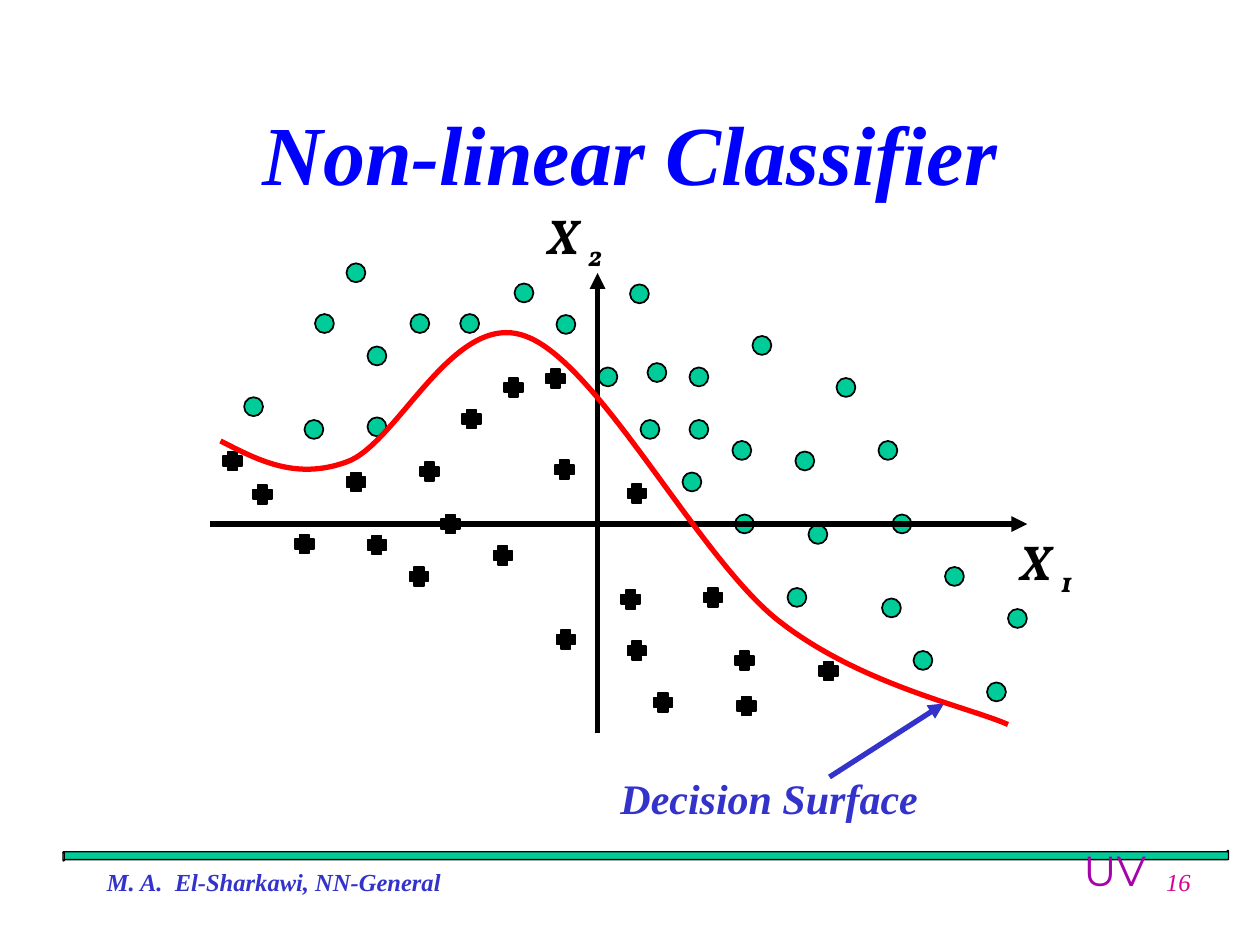
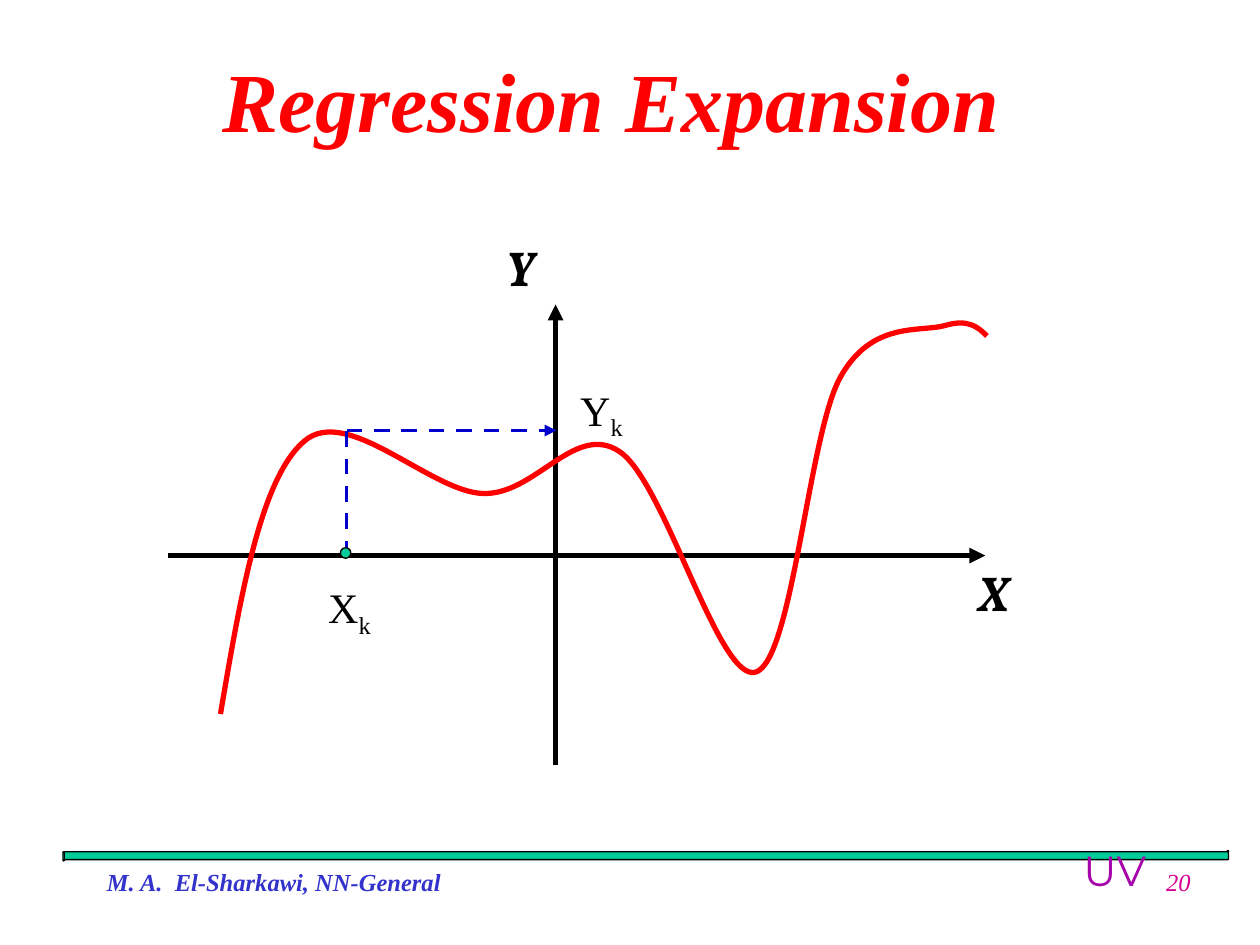
import dataclasses

import lxml.etree
import pptx
import pptx.dml.color
import pptx.enum.dml
import pptx.enum.shapes
import pptx.enum.text
import pptx.oxml.ns
import pptx.util

Pt = pptx.util.Pt
qn = pptx.oxml.ns.qn
SHAPES = pptx.enum.shapes.MSO_SHAPE
ALIGN = pptx.enum.text.PP_ALIGN
ANCHOR = pptx.enum.text.MSO_ANCHOR
AUTO_SIZE = pptx.enum.text.MSO_AUTO_SIZE
DASH = pptx.enum.dml.MSO_LINE.DASH


@dataclasses.dataclass(frozen=True)
class Theme:
    black: str = "000000"
    green: str = "00CC99"
    red: str = "FF0000"
    blue: str = "0000FF"
    guide: str = "0000CC"
    indigo: str = "3333CC"
    purple: str = "A603AB"
    magenta: str = "D60093"
    serif: str = "Times New Roman"
    axis_face: str = "Vollkorn"
    mark_face: str = "Montserrat"
    title: int = 48
    axis: int = 28
    label: int = 24
    footer: int = 14
    heavy: float = 3
    dashed: float = 2.25
    outline: float = 1
    thin: float = 0.75


THEME = Theme()
AUTHOR = "M. A.  El-Sharkawi, NN-General"
FOOTER_BOX = (36, 486, 666, 42)
PLOT_SIZE = (467, 263)
MARKER = 10.8

CIRCLES = [
    (90, 82.5), (90, 42), (198, 24), (60, 23.5), (174, 6), (274, 84),
    (298.5, 96), (274, 54), (246, 84), (143, 23.5), (270, 114), (334.5, 102),
    (300, 138), (330, 180), (342, 144), (382, 96), (390, 138), (402, 216),
    (420, 168), (384, 186), (456, 192), (444, 234), (310, 36), (358, 60),
    (114.5, 23.5), (250, 51.5), (78, -5.5), (240, 6.5), (54, 84), (222, 54),
    (19.5, 71),
]
PLUSES = [
    (235, 181), (132, 138), (144, 78), (238.5, 120.5), (197, 107), (253.5, 240),
    (348, 222), (192, 55), (120, 108), (168, 60), (78, 114), (90, 150),
    (24.5, 121), (114, 168), (300, 216), (48.5, 149.5), (198, 204),
    (238.5, 210.5), (282, 180), (301, 242), (162, 156), (7.5, 102),
]
DECISION_CURVE = [
    (6, 96), (27.5, 107), (49, 118.5), (78, 108), (107, 98), (139, 21),
    (180, 36), (221.5, 50.5), (278, 161), (324, 198), (370.5, 235),
    (433.5, 248), (456, 258),
]
REGRESSION_CURVE = [
    (30, 234), (41.5, 166.5), (53, 99), (78, 78), (102.5, 57), (150, 107),
    (180, 108), (210, 109), (232.5, 67), (258, 84), (284, 101), (315, 217),
    (336, 210), (357, 203), (366, 75), (384, 42), (402, 9), (430, 16),
    (444, 12), (457.5, 8), (463, 13), (468, 18),
]


def rgb(color):
    return pptx.dml.color.RGBColor.from_string(color)


def apply(target, values):
    for name, value in values.items():
        setattr(target, name, value)


def place(box, x, y, width, height):
    return box[0] + x, box[1] + y, width, height


def add_text(slide, box, text, face, size, color, sub="", indent=0,
             paragraph_format=None, frame_format=None, **font_format):
    frame = slide.shapes.add_textbox(*map(Pt, box)).text_frame
    apply(frame, {"word_wrap": True, **(frame_format or {})})
    paragraph = frame.paragraphs[0]
    apply(paragraph, paragraph_format or {})
    if indent:
        paragraph._p.get_or_add_pPr().set("marL", str(Pt(indent)))
    for part, baseline in ((text, None), (sub, "-25000")):
        if part:
            run = paragraph.add_run()
            run.text = part
            apply(run.font, {"name": face, "size": Pt(size), **font_format})
            run.font.color.rgb = rgb(color)
            if baseline:
                run._r.get_or_add_rPr().set("baseline", baseline)


def add_fitted(slide, box, *args, **formats):
    fitted = {"word_wrap": False, "auto_size": AUTO_SIZE.SHAPE_TO_FIT_TEXT}
    add_text(slide, box, *args, frame_format=fitted, **formats)


def add_filled(slide, kind, box, fill, line_width):
    shape = slide.shapes.add_shape(kind, *map(Pt, box))
    shape.shadow.inherit = False
    shape.fill.solid()
    shape.fill.fore_color.rgb = rgb(fill)
    shape.line.color.rgb = rgb(THEME.black)
    shape.line.width = Pt(line_width)


def add_line(slide, box, start, end, color, width, arrow=True, dash=None):
    ends = [Pt(base + offset) for point in (start, end)
            for base, offset in zip(box, point)]
    line = slide.shapes.add_connector(
        pptx.enum.shapes.MSO_CONNECTOR.STRAIGHT, *ends)
    line.line.color.rgb = rgb(color)
    apply(line.line, {"width": Pt(width), "dash_style": dash})
    if arrow:
        tip = lxml.etree.SubElement(line.line._get_or_add_ln(), qn("a:tailEnd"))
        tip.set("type", "triangle")
    lxml.etree.SubElement(line._element.spPr, qn("a:effectLst"))


def add_curve(slide, box, points):
    start, *controls = [(Pt(box[0] + x), Pt(box[1] + y)) for x, y in points]
    builder = slide.shapes.build_freeform(*start)
    builder.add_line_segments(controls, close=False)
    curve = builder.convert_to_shape()
    segments = list(curve._element.iter(qn("a:lnTo")))
    for first in range(0, len(segments), 3):
        bezier = lxml.etree.Element(qn("a:cubicBezTo"))
        segments[first].addprevious(bezier)
        for segment in segments[first:first + 3]:
            bezier.append(segment[0])
            segment.getparent().remove(segment)
    curve.shadow.inherit = False
    curve.fill.background()
    curve.line.color.rgb = rgb(THEME.red)
    curve.line.width = Pt(THEME.heavy)


def add_footer(slide, box, number):
    add_filled(slide, SHAPES.HORIZONTAL_SCROLL, place(box, 0, 0, box[2], 6),
               THEME.green, THEME.thin)
    add_text(slide, place(box, 566, -7, 70, 36), "UV", THEME.mark_face,
             THEME.label, THEME.purple,
             paragraph_format={"alignment": ALIGN.CENTER})
    add_text(slide, place(box, 18, 6, 420, 36), AUTHOR, THEME.serif,
             THEME.footer, THEME.indigo, bold=True, italic=True)
    add_text(slide, place(box, 480, 6, 171.5, 36), number, THEME.serif,
             THEME.footer, THEME.magenta, italic=True,
             paragraph_format={"alignment": ALIGN.RIGHT})


def add_axes(slide, box, horizontal, vertical):
    origin_x, origin_y = 221.5, 143.5
    width, height = box[2:]
    for start, end in (((0, origin_y), (width, origin_y)),
                       ((origin_x, height), (origin_x, 0))):
        add_line(slide, box, start, end, THEME.black, THEME.heavy)
    for (text, sub), x, y in ((horizontal, 419.5, 144), (vertical, 149.5, -42)):
        add_fitted(slide, place(box, x, y, 87 if sub else 70, 45 if sub else 40),
                   text, THEME.axis_face, THEME.axis, THEME.black, sub=sub,
                   indent=36, paragraph_format={"space_before": Pt(7)},
                   bold=True, italic=True)


def build_classifier(slide, box):
    add_text(slide, (54, 42, 612, 90), "Non-linear Classifier", THEME.serif,
             THEME.title, THEME.blue, bold=True, italic=True,
             paragraph_format={"alignment": ALIGN.CENTER},
             frame_format={"vertical_anchor": ANCHOR.MIDDLE})
    for kind, spots, fill in ((SHAPES.OVAL, CIRCLES, THEME.green),
                              (SHAPES.CROSS, PLUSES, THEME.black)):
        for x, y in spots:
            add_filled(slide, kind, place(box, x, y, MARKER, MARKER),
                       fill, THEME.outline)
    add_axes(slide, box, ("X ", "1"), ("X ", "2"))
    add_text(slide, place(box, 227.5, 282, 200, 36), "Decision Surface",
             THEME.serif, THEME.label, THEME.indigo, bold=True, italic=True)
    add_line(slide, box, (354, 288), (419.5, 246), THEME.indigo, THEME.heavy)
    add_curve(slide, box, DECISION_CURVE)


def build_regression(slide, box):
    add_axes(slide, box, ("X", ""), ("Y", ""))
    add_curve(slide, box, REGRESSION_CURVE)
    add_fitted(slide, (120, 24, 459, 65), "Regression Expansion", THEME.serif,
               THEME.title, THEME.red, bold=True, italic=True)
    sample, corner, value = (102, 144), (102, 72), (222, 72)
    for start, end, arrow in ((sample, corner, False), (corner, value, True)):
        add_line(slide, box, start, end, THEME.guide, THEME.dashed,
                 arrow=arrow, dash=DASH.DASH)
    for letter, x, y in (("X", 84.5, 155), ("Y", 228.5, 42)):
        add_fitted(slide, place(box, x, y, 39, 40), letter, THEME.serif,
                   THEME.label, THEME.black, sub="k")
    add_filled(slide, SHAPES.OVAL, place(box, 98.5, 139, 6, 6),
               THEME.green, THEME.thin)


def main():
    deck = pptx.Presentation()
    apply(deck, {"slide_width": Pt(720), "slide_height": Pt(540)})
    for build, corner, number in ((build_classifier, (120, 156), "16"),
                                  (build_regression, (96, 174), "20")):
        slide = deck.slides.add_slide(deck.slide_layouts[6])
        add_footer(slide, FOOTER_BOX, number)
        build(slide, corner + PLOT_SIZE)
    deck.save("out.pptx")


if __name__ == "__main__":
    main()
